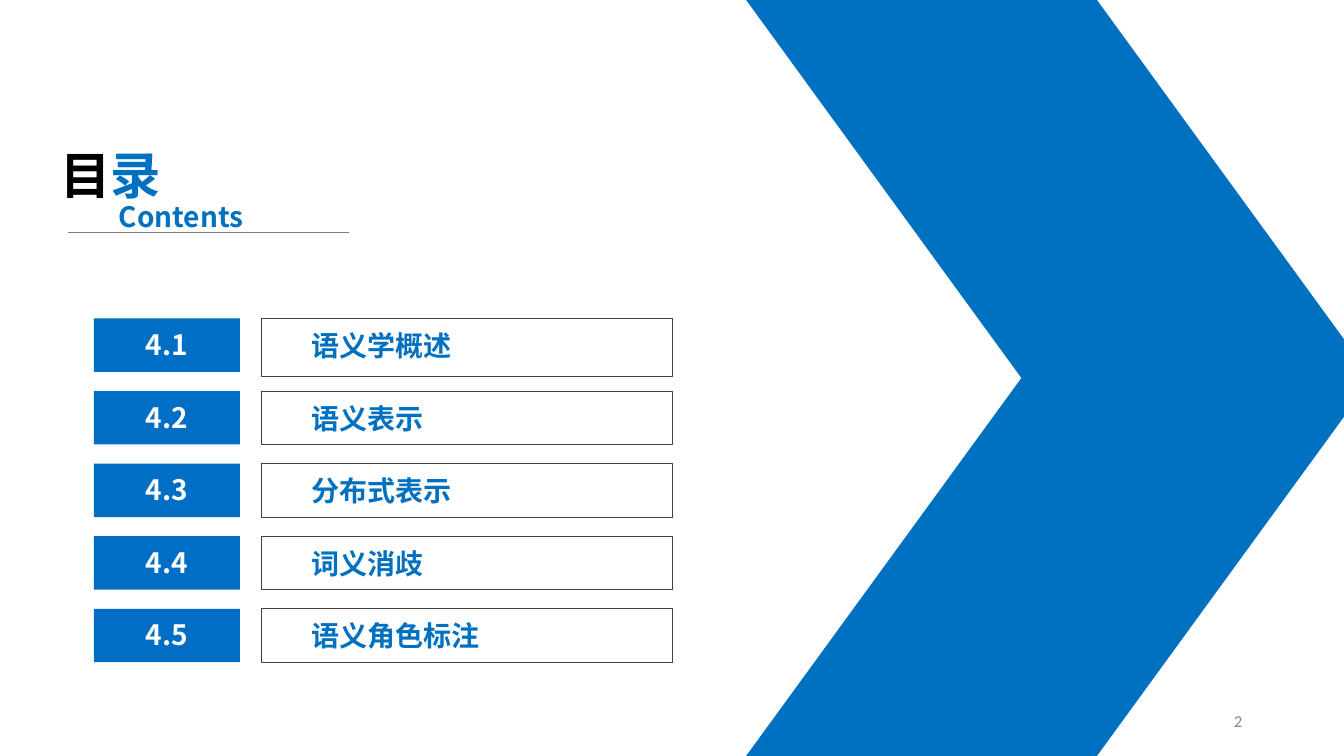
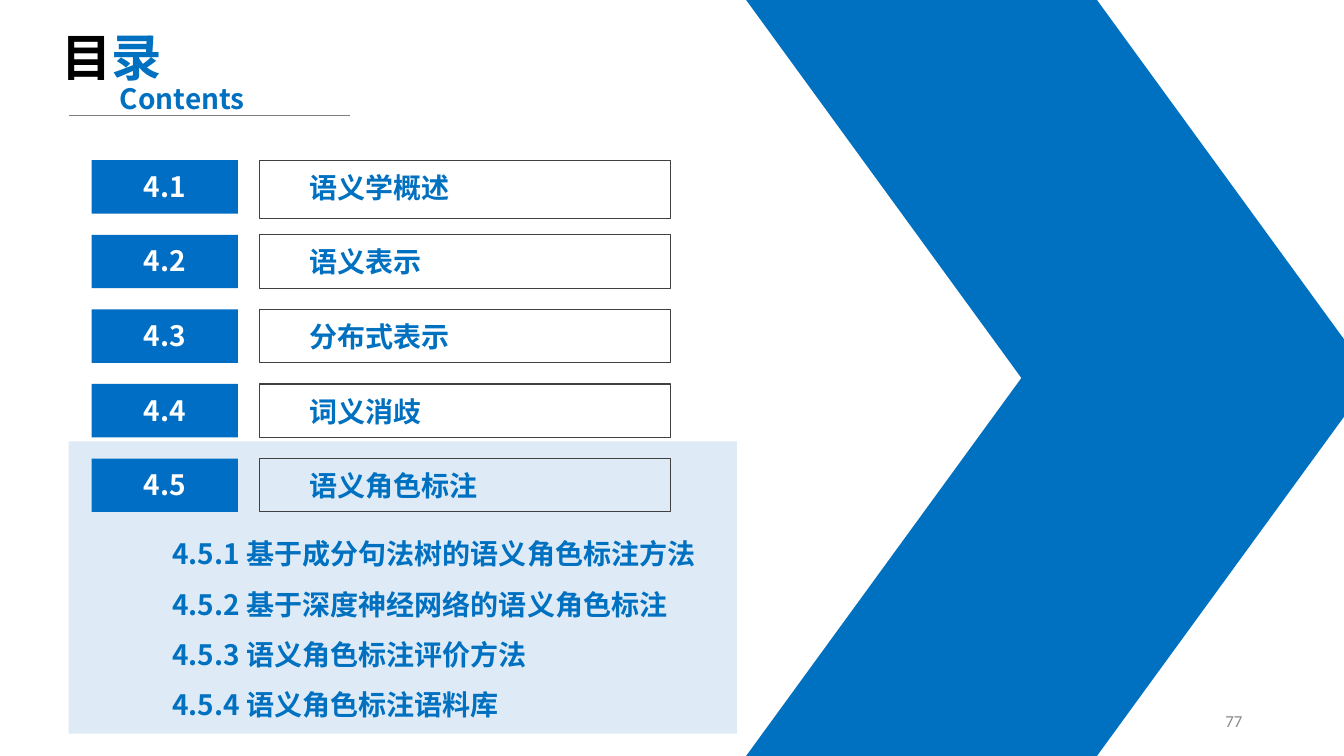
"""Build the two contents slides of the semantics chapter."""
from lxml.etree import SubElement
from pptx import Presentation
from pptx.dml.color import RGBColor
from pptx.enum.shapes import MSO_CONNECTOR, MSO_SHAPE
from pptx.enum.text import MSO_ANCHOR, MSO_AUTO_SIZE, PP_ALIGN
from pptx.oxml.ns import qn
from pptx.util import Inches, Pt

BLUE = RGBColor(0x00, 0x70, 0xC0)
BADGE_BLUE = RGBColor(0x00, 0x6E, 0xC5)
PALE_BLUE = RGBColor(0xDE, 0xEB, 0xF7)
BLACK = RGBColor(0, 0, 0)
WHITE = RGBColor(255, 255, 255)
FRAME_GRAY = RGBColor(0x40, 0x40, 0x40)
RULE_GRAY = RGBColor(0x7F, 0x7F, 0x7F)
NUMBER_GRAY = RGBColor(0x89, 0x89, 0x89)
CJK, LATIN = "Noto Sans CJK SC", "Calibri"

SECTIONS = [
    ("4.1", "语义学概述"),
    ("4.2", "语义表示"),
    ("4.3", "分布式表示"),
    ("4.4", "词义消歧"),
    ("4.5", "语义角色标注"),
]
SUBSECTIONS = [
    "4.5.1 基于成分句法树的语义角色标注方法",
    "4.5.2 基于深度神经网络的语义角色标注",
    "4.5.3 语义角色标注评价方法",
    "4.5.4 语义角色标注语料库",
]
SLIDES = [
    {"number": "2", "title": (0.5, 1.38), "list": (0.93, 3.16), "pitch": 0.72, "subsections": []},
    {"number": "77", "title": (0.51, 0.21), "list": (0.91, 1.59), "pitch": 0.74,
     "subsections": SUBSECTIONS},
]

TITLE = {"size": Pt(36), "name": CJK, "bold": True}
BODY = {"size": Pt(20), "name": CJK, "bold": True}
NUMBER = {"size": Pt(12), "name": LATIN, "bold": False}


def add_run(p, text, fmt, color):
    r = p.add_run()
    r.text = text
    for name, value in fmt.items():
        setattr(r.font, name, value)
    r.font.color.rgb = color
    SubElement(r.font._element, qn("a:ea")).set("typeface", fmt["name"])


def set_frame(tf, **values):
    frame = {"word_wrap": True, "auto_size": MSO_AUTO_SIZE.NONE,
             "vertical_anchor": MSO_ANCHOR.TOP, **values}
    for name, value in frame.items():
        setattr(tf, name, value)


def write(tf, lines, fmt, color, align=PP_ALIGN.LEFT, spacing=None, **frame):
    set_frame(tf, **frame)
    for i, line in enumerate(lines):
        p = tf.add_paragraph() if i else tf.paragraphs[0]
        p.alignment = align
        p.line_spacing = spacing
        add_run(p, line, fmt, color)


def add_text(slide, box, lines, fmt, color, **options):
    tf = slide.shapes.add_textbox(*map(Inches, box)).text_frame
    write(tf, lines, fmt, color, **options)


def add_block(slide, box, fill=None, line=None, shape=MSO_SHAPE.RECTANGLE):
    sp = slide.shapes.add_shape(shape, *map(Inches, box))
    sp.shadow.inherit = False
    if fill is None:
        sp.fill.background()
    else:
        sp.fill.solid()
        sp.fill.fore_color.rgb = fill
    if line is None:
        sp.line.fill.background()
    else:
        sp.line.color.rgb = line
        sp.line.width = Pt(0.75)
    return sp


def add_chevron(slide):
    for top in (3.75, 0):
        sp = add_block(slide, (7.4, top, 6.21, 3.75), BLUE, shape=MSO_SHAPE.PARALLELOGRAM)
        sp.adjustments[0] = 0.728
        if top == 0:
            sp._element.spPr.xfrm.set("flipV", "1")


def add_heading(slide, left, top):
    title = slide.shapes.title
    box = (left, top, 1.57, 0.71)
    for name, value in zip(("left", "top", "width", "height"), box):
        setattr(title, name, Inches(value))
    set_frame(title.text_frame)
    p = title.text_frame.paragraphs[0]
    p.alignment = PP_ALIGN.LEFT
    for text, color in (("目", BLACK), ("录", BLUE)):
        add_run(p, text, TITLE, color)
    add_text(slide, (left + 0.58, top + 0.55, 1.57, 0.44), ["Contents"], BODY, BLUE)
    y = Inches(top + 0.93)
    rule = slide.shapes.add_connector(
        MSO_CONNECTOR.STRAIGHT, Inches(left + 0.17), y, Inches(left + 2.96), y)
    rule.line.color.rgb = RULE_GRAY
    rule.line.width = Pt(0.5)
    SubElement(rule._element.spPr, qn("a:effectLst"))


def add_sections(slide, left, top, pitch):
    for i, (number, name) in enumerate(SECTIONS):
        y = top + i * pitch
        entry = add_block(slide, (left + 1.66, y, 4.08, 0.53 if i else 0.58), line=FRAME_GRAY)
        write(entry.text_frame, [name], BODY, BLUE,
              margin_left=Inches(0.5), margin_top=Inches(0.1), margin_bottom=0)
        badge = add_block(slide, (left, y, 1.45, 0.53), BADGE_BLUE)
        write(badge.text_frame, [number], BODY, WHITE, align=PP_ALIGN.CENTER,
              margin_top=Inches(0.09), margin_bottom=0)


def add_subsections(slide, lines):
    add_block(slide, (0.68, 4.38, 6.63, 2.9), PALE_BLUE)
    add_text(slide, (1.61, 5.11, 5.91, 2.06), lines, BODY, BLUE, spacing=1.5)


def main():
    prs = Presentation()
    prs.slide_width, prs.slide_height = Inches(13.33), Inches(7.5)
    for data in SLIDES:
        slide = prs.slides.add_slide(prs.slide_layouts[5])
        if data["subsections"]:
            add_subsections(slide, data["subsections"])
        add_chevron(slide)
        add_heading(slide, *data["title"])
        add_sections(slide, *data["list"], data["pitch"])
        add_text(slide, (9.42, 6.95, 3, 0.4), [data["number"]], NUMBER, NUMBER_GRAY,
                 align=PP_ALIGN.RIGHT, vertical_anchor=MSO_ANCHOR.MIDDLE)
    prs.save("out.pptx")


if __name__ == "__main__":
    main()
